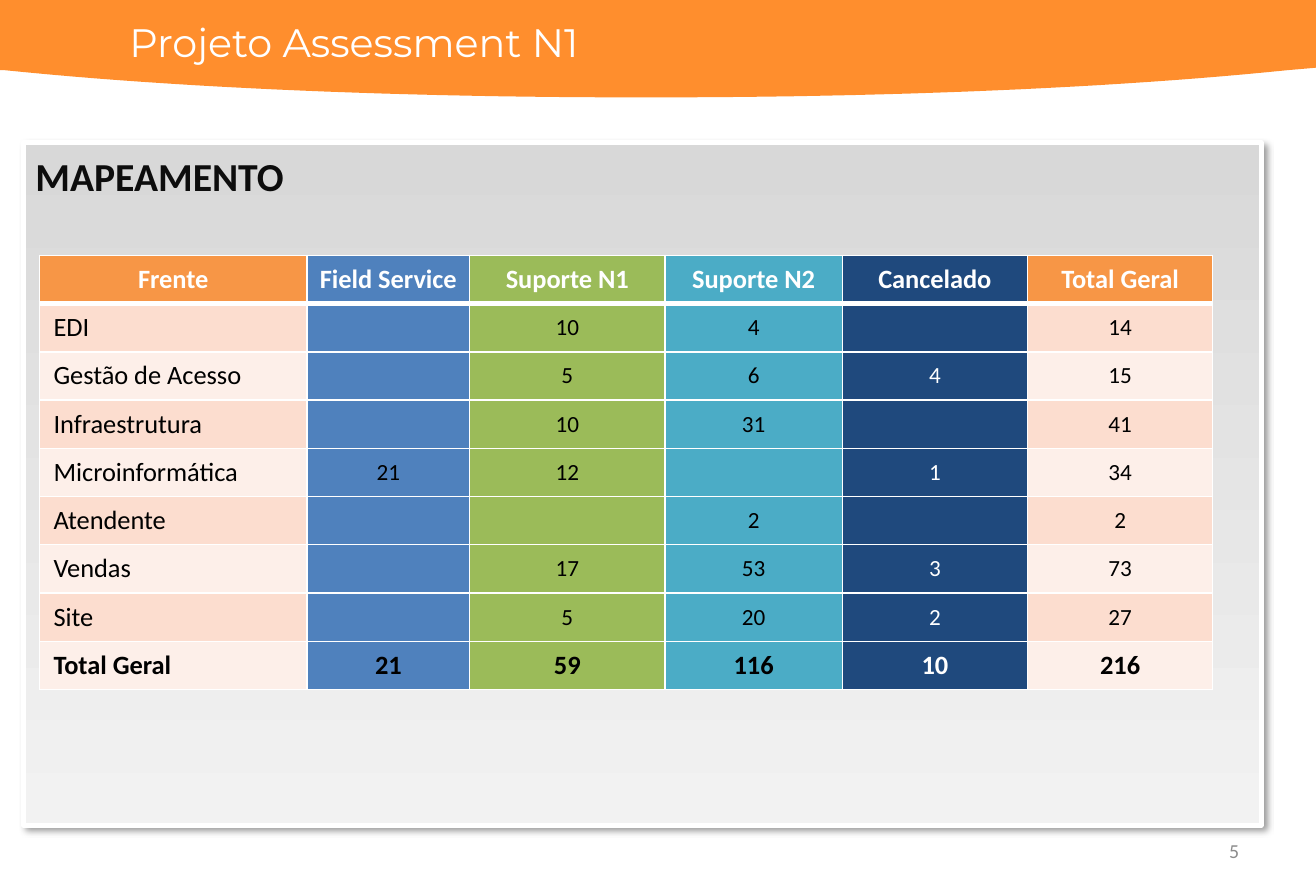
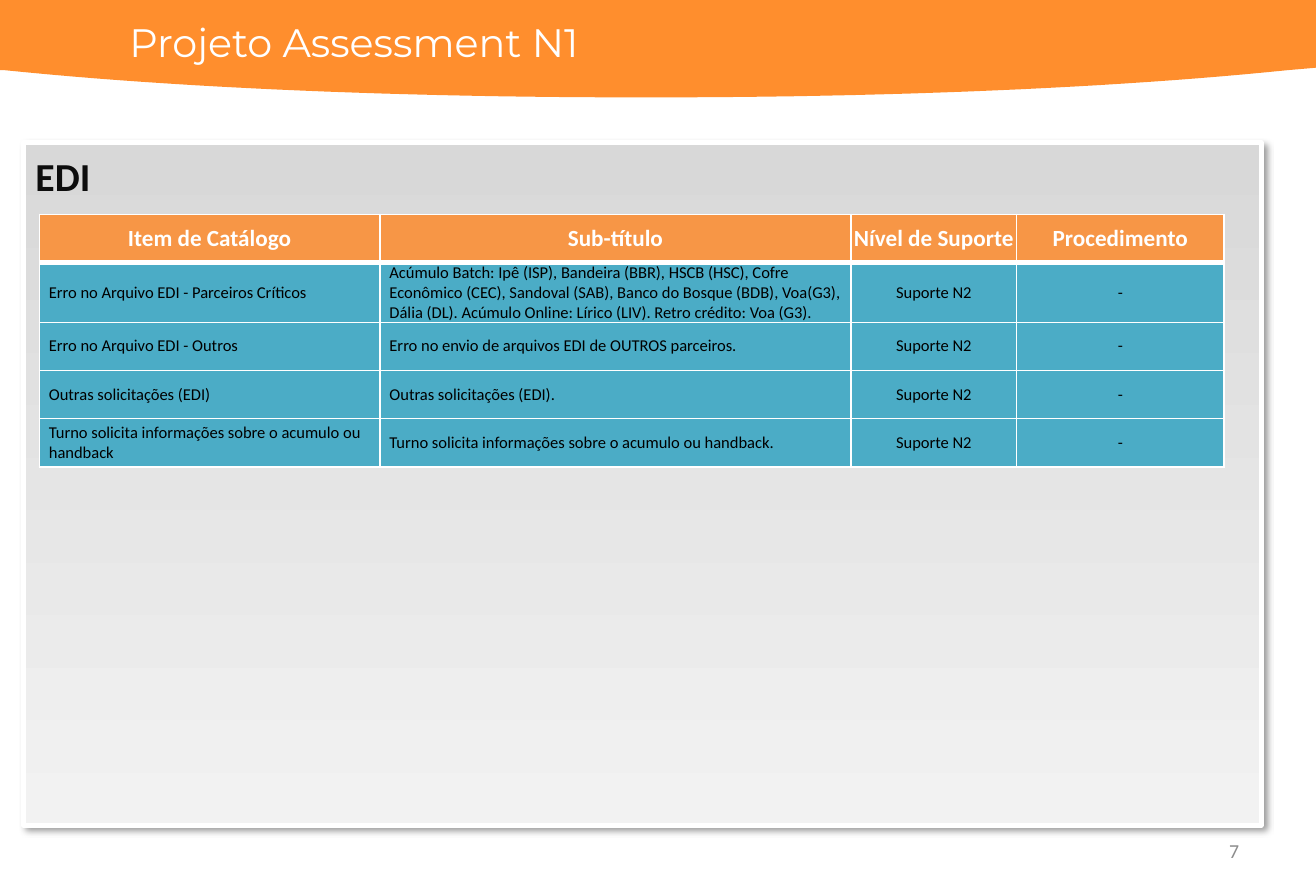
import dataclasses

import lxml.etree
import pptx
import pptx.dml.color
import pptx.enum.shapes
import pptx.enum.text
import pptx.oxml.ns
import pptx.util

Pt = pptx.util.Pt
qn = pptx.oxml.ns.qn
ALIGN = pptx.enum.text.PP_ALIGN
ANCHOR = pptx.enum.text.MSO_ANCHOR


@dataclasses.dataclass(frozen=True)
class Theme:
    # Colours
    band: str = "FF8E2D"
    white: str = "FFFFFF"
    black: str = "000000"
    ink: str = "0D0D0D"
    grey: str = "8C8C8C"
    top: str = "D8D8D8"
    base: str = "F2F2F2"
    orange: str = "F79646"
    blue: str = "4F81BD"
    green: str = "9BBB59"
    teal: str = "4BACC6"
    navy: str = "1F497D"
    tints: tuple = ("FCDDCF", "FDEFE9")
    # Fonts and type sizes
    body: str = "Calibri"
    head: str = "Montserrat"
    title: int = 24
    large: int = 16
    mid: int = 14
    foot: int = 12
    small: int = 10
    # Slide, table and line measures
    wide: float = 796.32
    high: float = 540
    left: float = 23.8
    row: float = 29.2
    thin: float = 1
    thick: float = 3


T = Theme()

FRONTS = [
    ("Frente", "Field Service", "Suporte N1", "Suporte N2", "Cancelado", "Total Geral"),
    ("EDI", "", "10", "4", "", "14"),
    ("Gestão de Acesso", "", "5", "6", "4", "15"),
    ("Infraestrutura", "", "10", "31", "", "41"),
    ("Microinformática", "21", "12", "", "1", "34"),
    ("Atendente", "", "", "2", "", "2"),
    ("Vendas", "", "17", "53", "3", "73"),
    ("Site", "", "5", "20", "2", "27"),
    ("Total Geral", "21", "59", "116", "10", "216"),
]

LEVEL = ("Suporte N2", "-")
ITEMS = [
    ("Item de Catálogo", "Sub-título", "Nível de Suporte", "Procedimento"),
    ("Erro no Arquivo EDI - Parceiros Críticos",
     "Acúmulo Batch: Ipê (ISP), Bandeira (BBR), HSCB (HSC), Cofre "
     "Econômico (CEC), Sandoval (SAB), Banco do Bosque (BDB), Voa(G3), "
     "Dália (DL). Acúmulo Online: Lírico (LIV). Retro crédito: Voa (G3).", *LEVEL),
    ("Erro no Arquivo EDI - Outros",
     "Erro no envio de arquivos EDI de OUTROS parceiros.", *LEVEL),
    ("Outras solicitações (EDI)", "Outras solicitações (EDI).", *LEVEL),
    ("Turno solicita informações sobre o acumulo ou handback",
     "Turno solicita informações sobre o acumulo ou handback.", *LEVEL),
]


def tone(code):
    return pptx.dml.color.RGBColor.from_string(code)


def write(frame, text, *, size, color, font=T.body, bold=False,
          align=ALIGN.LEFT, after=0):
    par = frame.paragraphs[0]
    par.alignment = align
    par.space_after = Pt(after)
    run = par.add_run()
    run.text = text
    run.font.name = font
    run.font.size = Pt(size)
    run.font.bold = bold
    run.font.color.rgb = tone(color)


def label(slide, text, box, anchor=ANCHOR.TOP, **style):
    frame = slide.shapes.add_textbox(*map(Pt, box)).text_frame
    frame.word_wrap = True
    frame.vertical_anchor = anchor
    write(frame, text, **style)


def curve(ends, steps=24):
    """Points along a cubic curve, after its start."""
    for step in range(1, steps + 1):
        t = step / steps
        parts = ((1 - t) ** 3, 3 * t * (1 - t) ** 2, 3 * t * t * (1 - t), t ** 3)
        yield tuple(sum(k * end[axis] for k, end in zip(parts, ends))
                    for axis in (0, 1))


def band(slide):
    low = (391, 59)
    right = [(779, 42.5), (673.9, 53.3), (538.6, 59), low]
    left = [low, (243.4, 59), (108, 53.3), (2.9, 42.5)]
    points = [(T.wide, 0), (T.wide, 41), right[0],
              *curve(right), *curve(left), (0, 42.5)]
    pen = slide.shapes.build_freeform(0, 0, scale=1.0)
    pen.add_line_segments([(Pt(x), Pt(y)) for x, y in points], close=True)
    shape = pen.convert_to_shape()
    shape.shadow.inherit = False
    shape.fill.solid()
    shape.fill.fore_color.rgb = tone(T.band)
    shape.line.fill.background()


def shade(shape):
    """Soft shadow, down and to the right."""
    shape.shadow.inherit = False
    effects = shape._element.spPr.find(qn("a:effectLst"))
    outer = lxml.etree.SubElement(
        effects, qn("a:outerShdw"), blurRad=str(Pt(4)), dist=str(Pt(3)),
        dir="2700000", algn="tl", rotWithShape="0")
    color = lxml.etree.SubElement(outer, qn("a:srgbClr"), val=T.black)
    lxml.etree.SubElement(color, qn("a:alpha"), val="40000")


def panel(slide, text):
    shape = slide.shapes.add_shape(
        pptx.enum.shapes.MSO_SHAPE.RECTANGLE,
        Pt(14.4), Pt(86.4), Pt(748.8), Pt(413.3))
    shape.fill.gradient()
    shape.fill.gradient_angle = 270
    for stop, color in zip(shape.fill.gradient_stops, (T.top, T.base)):
        stop.color.rgb = tone(color)
    shape.line.color.rgb = tone(T.white)
    shape.line.width = Pt(T.thick)
    shade(shape)
    frame = shape.text_frame
    frame.word_wrap = True
    frame.vertical_anchor = ANCHOR.TOP
    frame.margin_top = Pt(5.6)
    write(frame, text, size=T.title, color=T.ink, bold=True,
          align=ALIGN.JUSTIFY, after=2)


def edge(cell, side, width):
    props = cell._tc.get_or_add_tcPr()
    line = lxml.etree.SubElement(props, qn("a:ln" + side), w=str(Pt(width)))
    fill = lxml.etree.SubElement(line, qn("a:solidFill"))
    lxml.etree.SubElement(fill, qn("a:srgbClr"), val=T.white)


def paint(cell, text, fill, above, below, inset, style):
    cell.margin_left = Pt(inset)
    cell.margin_right = cell.margin_top = cell.margin_bottom = 0
    cell.vertical_anchor = ANCHOR.MIDDLE
    for side, width in zip("LRTB", (T.thin, T.thin, above, below)):
        edge(cell, side, width)
    cell.fill.solid()
    cell.fill.fore_color.rgb = tone(fill)
    if text:
        write(cell.text_frame, text, **style)


def grid(slide, data, top, cols, look, tall=None):
    """Table whose look(row, col) gives fill, left inset and text format."""
    rows = [T.row] * len(data)
    for row, height in (tall or {}).items():
        rows[row] = height
    table = slide.shapes.add_table(
        len(rows), len(cols), Pt(T.left), Pt(top),
        Pt(sum(cols)), Pt(sum(rows))).table
    for col, width in zip(table.columns, cols):
        col.width = Pt(width)
    for row, height in zip(table.rows, rows):
        row.height = Pt(height)
    for r, line in enumerate(data):
        above = T.thick if r == 1 else T.thin
        below = T.thick if r == 0 else T.thin
        for c, text in enumerate(line):
            fill, inset, style = look(r, c)
            paint(table.cell(r, c), text, fill, above, below, inset, style)


def front_look(r, c):
    head, total = r == 0, r == len(FRONTS) - 1
    fills = (T.orange, T.blue, T.green, T.teal, T.navy, T.orange)
    fill = fills[c]
    if fill == T.orange and not head:
        fill = T.tints[(r - 1) % 2]
    first = c == 0 and not head
    return fill, 8.6 if first else 0, dict(
        size=T.large if head or total or c == 0 else T.mid,
        color=T.white if head or fill == T.navy else T.black,
        bold=head or total,
        align=ALIGN.LEFT if first else ALIGN.CENTER)


def item_look(r, c):
    head = r == 0
    left = c < 2 and not head
    return T.orange if head else T.teal, 5.8 if left else 0, dict(
        size=T.mid if head else T.small,
        color=T.white if head else T.black,
        bold=head,
        align=ALIGN.LEFT if left else ALIGN.CENTER)


def page(deck, text, number):
    """Slide with the shared band, panel, page number and title."""
    slide = deck.slides.add_slide(deck.slide_layouts[6])
    band(slide)
    panel(slide, text)
    label(slide, number, (571, 500.4, 185.8, 28.8), ANCHOR.MIDDLE,
          size=T.foot, color=T.grey, align=ALIGN.RIGHT)
    label(slide, "Projeto Assessment N1", (71.3, 7.2, 429.8, 36),
          size=T.title, color=T.white, font=T.head)
    return slide


def main():
    deck = pptx.Presentation()
    deck.slide_width, deck.slide_height = Pt(T.wide), Pt(T.high)

    # Totals by front and level
    slide = page(deck, "MAPEAMENTO", "5")
    grid(slide, FRONTS, 154.6, (162, 98.4, 118.2, 107.3, 112.1, 112.1), front_look)

    # Items of the first front
    slide = page(deck, "EDI", "7")
    grid(slide, ITEMS, 129.8, (206.1, 285.1, 100.2, 125.5), item_look, {1: 35.8})

    deck.save("out.pptx")


if __name__ == "__main__":
    main()
